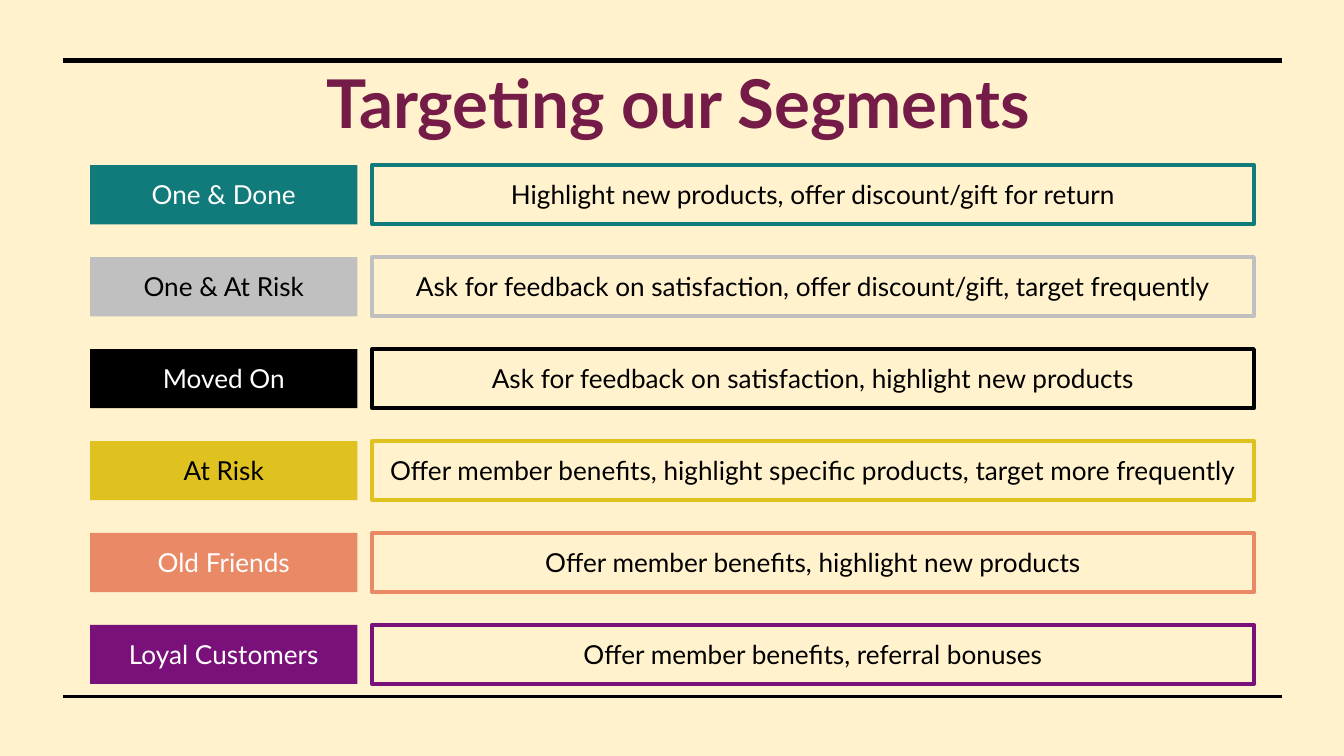
from dataclasses import dataclass

from lxml import etree
from pptx import Presentation
from pptx.dml.color import RGBColor
from pptx.enum import shapes, text
from pptx.oxml.ns import qn
from pptx.util import Inches, Pt


@dataclass(frozen=True)
class Theme:
    font: str = "Lato"
    title_size: int = 36
    body_size: int = 14
    background: str = "FFF2CC"
    title: str = "741B47"
    dark: str = "000000"
    light: str = "FFFFFF"
    outline_width: float = 2.25


@dataclass(frozen=True)
class Segment:
    name: str
    action: str
    color: str
    name_color: str


THEME = Theme()

SEGMENTS = [
    Segment("One & Done", "Highlight new products, offer discount/gift for return",
            "117A7A", THEME.light),
    Segment("One & At Risk",
            "Ask for feedback on satisfaction, offer discount/gift, target frequently",
            "C0C0C0", THEME.dark),
    Segment("Moved On", "Ask for feedback on satisfaction, highlight new products",
            "000000", THEME.light),
    Segment("At Risk",
            "Offer member benefits, highlight specific products, target more frequently",
            "DFC120", THEME.dark),
    Segment("Old Friends", "Offer member benefits, highlight new products",
            "E98966", THEME.light),
    Segment("Loyal Customers", "Offer member benefits, referral bonuses",
            "7A117A", THEME.light),
]

# Row grid, in inches
FIRST_TOP, LAST_TOP, ROW_HEIGHT = 1.23, 4.65, 0.44
ROW_PITCH = (LAST_TOP - FIRST_TOP) / (len(SEGMENTS) - 1)
NAME_LEFT, NAME_WIDTH = 0.67, 1.99
ACTION_LEFT, ACTION_WIDTH = 2.77, 6.56


def rgb(color: str) -> RGBColor:
    return RGBColor.from_string(color)


def write_text(shape, content: str, size: int, color: str, bold: bool = False,
               anchor=text.MSO_ANCHOR.TOP) -> None:
    frame = shape.text_frame
    frame.word_wrap = True
    frame.vertical_anchor = anchor
    frame.margin_left = frame.margin_right = Inches(0.1)
    frame.margin_top = frame.margin_bottom = Inches(0.1)
    paragraph = frame.paragraphs[0]
    paragraph.alignment = text.PP_ALIGN.CENTER
    run = paragraph.add_run()
    run.text = content
    run.font.name = THEME.font
    run.font.size = Pt(size)
    run.font.bold = bold
    run.font.color.rgb = rgb(color)


def add_rule(slide, top: float, width: float) -> None:
    rule = slide.shapes.add_connector(
        shapes.MSO_CONNECTOR.STRAIGHT,
        Inches(0.47), Inches(top), Inches(9.54), Inches(top))
    rule.line.color.rgb = rgb(THEME.dark)
    rule.line.width = Pt(width)
    etree.SubElement(rule._element.spPr, qn("a:effectLst"))


def add_box(slide, left: float, top: float, width: float, content: str,
            text_color: str, fill: str | None = None, outline: str | None = None) -> None:
    box = slide.shapes.add_shape(
        shapes.MSO_SHAPE.RECTANGLE,
        Inches(left), Inches(top), Inches(width), Inches(ROW_HEIGHT))
    box.shadow.inherit = False
    if fill:
        box.fill.solid()
        box.fill.fore_color.rgb = rgb(fill)
    else:
        box.fill.background()
    if outline:
        box.line.color.rgb = rgb(outline)
        box.line.width = Pt(THEME.outline_width)
    else:
        box.line.fill.background()
    write_text(box, content, THEME.body_size, text_color)
    box.text_frame.auto_size = text.MSO_AUTO_SIZE.SHAPE_TO_FIT_TEXT


def main() -> None:
    # Widescreen page, 16:9
    presentation = Presentation()
    presentation.slide_width = Inches(10)
    presentation.slide_height = Inches(10 * 9 / 16)
    slide = presentation.slides.add_slide(presentation.slide_layouts[6])
    slide.background.fill.solid()
    slide.background.fill.fore_color.rgb = rgb(THEME.background)

    # Rules above and below the content
    add_rule(slide, 5.18, 1.5)
    add_rule(slide, 0.45, 3)

    # Title
    title = slide.shapes.add_textbox(
        Inches(0.47), Inches(0.28), Inches(9.15), Inches(0.96))
    write_text(title, "Targeting our Segments", THEME.title_size, THEME.title,
               bold=True, anchor=text.MSO_ANCHOR.MIDDLE)

    # One row for each segment: its name and the action for it
    for index, segment in enumerate(SEGMENTS):
        top = FIRST_TOP + index * ROW_PITCH
        add_box(slide, NAME_LEFT, top, NAME_WIDTH, segment.name,
                segment.name_color, fill=segment.color)
        add_box(slide, ACTION_LEFT, top, ACTION_WIDTH, segment.action,
                THEME.dark, outline=segment.color)

    presentation.save("out.pptx")


if __name__ == "__main__":
    main()
